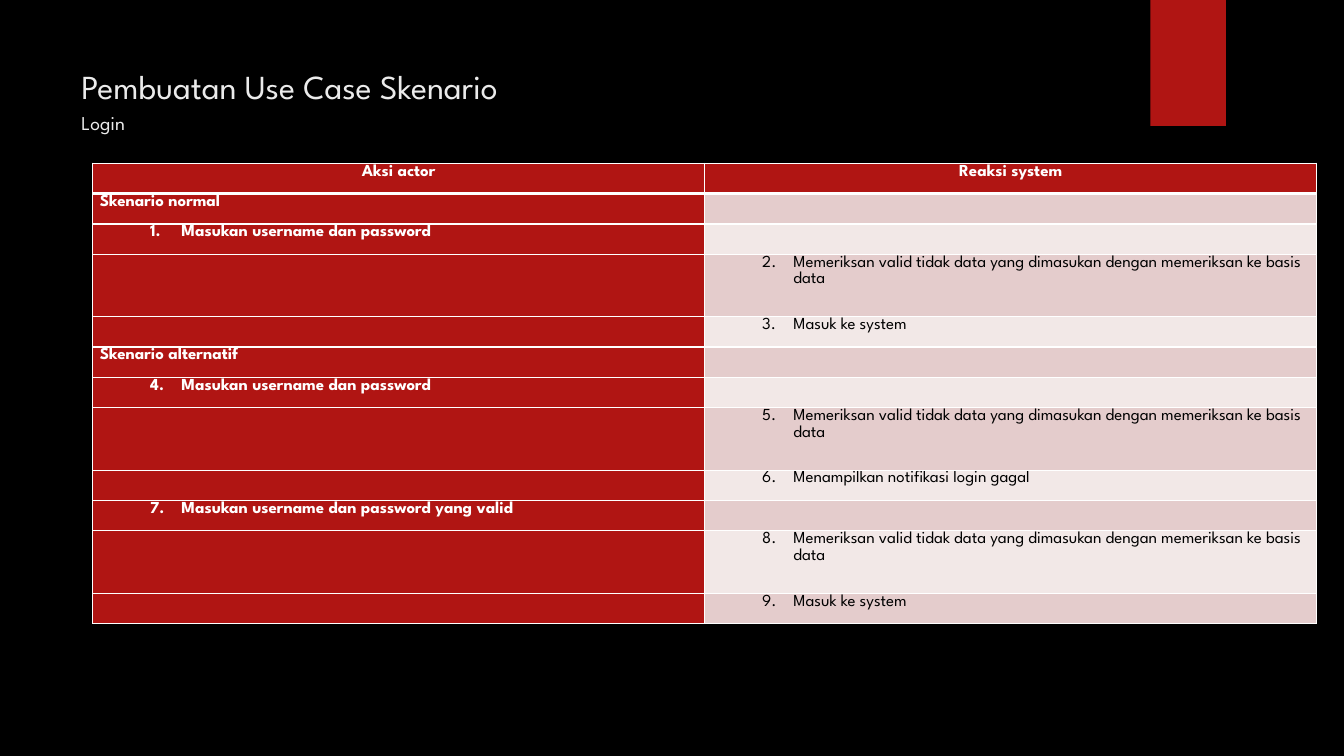
from dataclasses import dataclass

from lxml.etree import SubElement
from pptx import Presentation
from pptx.dml.color import RGBColor as Color
from pptx.enum.shapes import MSO_SHAPE as Shape
from pptx.enum.text import MSO_ANCHOR as Anchor, PP_ALIGN as Align
from pptx.oxml import parse_xml
from pptx.oxml.ns import nsdecls, qn
from pptx.util import Inches, Pt


@dataclass(frozen=True)
class Theme:
    font: str = "League Spartan"
    black: str = "000000"
    white: str = "FFFFFF"
    title: str = "EBEBEB"
    red: str = "B01513"
    bands: tuple = ("E4CCCC", "F2E8E7")
    title_size: int = 24
    subtitle_size: int = 14
    table_size: int = 12


THEME = Theme()
CHECK = "Memeriksan valid tidak data yang dimasukan dengan memeriksan ke basis data"
# Each step is (column, text); a heading has no step number.
HEADERS = ("Aksi actor", "Reaksi system")
SCENARIO = [
    (0, "Skenario normal"),
    (0, "Masukan username dan password"),
    (1, CHECK),
    (1, "Masuk ke system"),
    (0, "Skenario alternatif"),
    (0, "Masukan username dan password"),
    (1, CHECK),
    (1, "Menampilkan notifikasi login gagal"),
    (0, "Masukan username dan password yang valid"),
    (1, CHECK),
    (1, "Masuk ke system"),
]


def style_para(para, size, color, bold=False):
    for span in para.runs:
        span.font.name = THEME.font
        span.font.size = Pt(size)
        span.font.bold = bold
        span.font.color.rgb = Color.from_string(color)


def add_accent(page, left, top, width, height):
    tab = page.shapes.add_shape(
        Shape.RECTANGLE, Inches(left), Inches(top), Inches(width), Inches(height))
    tab.shadow.inherit = False
    tab.fill.solid()
    tab.fill.fore_color.rgb = Color.from_string(THEME.red)
    tab.line.fill.background()


def add_title(page, left, top, width, height):
    box = page.shapes.add_textbox(
        Inches(left), Inches(top), Inches(width), Inches(height))
    frame = box.text_frame
    frame.word_wrap = True
    frame.vertical_anchor = Anchor.TOP
    frame.margin_top = Inches(0.15)
    frame.text = "Pembuatan Use Case Skenario\nLogin"
    heading, subheading = frame.paragraphs
    style_para(heading, THEME.title_size, THEME.title)
    style_para(subheading, THEME.subtitle_size, THEME.title)
    subheading.space_before = Pt(3.5)


def set_borders(cell, top, bottom):
    """Draw white cell borders; top and bottom are widths in points."""
    properties = cell._tc.get_or_add_tcPr()
    widths = {"lnL": 1, "lnR": 1, "lnT": top, "lnB": bottom}
    for index, (side, width) in enumerate(widths.items()):
        properties.insert(index, parse_xml(
            f'<a:{side} {nsdecls("a")} w="{Pt(width)}"><a:solidFill>'
            f'<a:srgbClr val="{THEME.white}"/></a:solidFill></a:{side}>'))


def number_para(para, number):
    para.level = 1
    properties = para._p.get_or_add_pPr()
    properties.set("marL", str(Inches(0.81)))
    properties.set("indent", str(Inches(-0.31)))
    SubElement(properties, qn("a:buFont"), typeface="+mj-lt")
    SubElement(properties, qn("a:buAutoNum"),
               type="arabicPeriod", startAt=str(number))


def fill_cell(cell, text, fill, color, bold):
    """Set the cell's fill and text, and return its paragraph."""
    cell.margin_left = cell.margin_right = Inches(0.07)
    cell.margin_top = cell.margin_bottom = 0
    cell.fill.solid()
    cell.fill.fore_color.rgb = Color.from_string(fill)
    para = cell.text_frame.paragraphs[0]
    para.line_spacing = 1.07
    if text:
        para.text = text
        style_para(para, THEME.table_size, color, bold)
    else:
        SubElement(para._p, qn("a:endParaRPr"), sz=str(THEME.table_size * 100))
    return para


def add_scenario(page, left, top, width, height):
    table = page.shapes.add_table(
        len(SCENARIO) + 1, 2, Inches(left), Inches(top),
        Inches(width), Inches(height)).table
    for column in table.columns:
        column.width = Inches(width / 2)

    tall = 0.62
    tall_count = sum(text == CHECK for _, text in SCENARIO)
    short = (height - tall * tall_count) / (len(SCENARIO) + 1 - tall_count)
    table.rows[0].height = Inches(short)
    for column, text in enumerate(HEADERS):
        cell = table.cell(0, column)
        para = fill_cell(cell, text, THEME.red, THEME.white, True)
        para.alignment = Align.CENTER
        set_borders(cell, 1, 3)

    number = 0
    for row, (place, text) in enumerate(SCENARIO, start=1):
        table.rows[row].height = Inches(tall if text == CHECK else short)
        fills = (THEME.red, THEME.bands[(row - 1) % 2])
        colors = (THEME.white, THEME.black)
        for column in range(2):
            cell = table.cell(row, column)
            para = fill_cell(cell, text if column == place else "",
                             fills[column], colors[column], column == 0)
            set_borders(cell, 3 if row == 1 else 1, 1)
            if column == place and not text.startswith("Skenario"):
                number += 1
                number_para(para, number)


def main():
    deck = Presentation()
    deck.slide_width, deck.slide_height = Inches(13.33), Inches(7.5)
    page = deck.slides.add_slide(deck.slide_layouts[6])
    page.background.fill.solid()
    page.background.fill.fore_color.rgb = Color.from_string(THEME.black)
    add_accent(page, 11.41, 0, 0.75, 1.25)
    add_title(page, 0.71, 0.5, 10.29, 1.53)
    add_scenario(page, 0.92, 1.62, 12.14, 4.57)
    deck.save("out.pptx")


if __name__ == "__main__":
    main()
